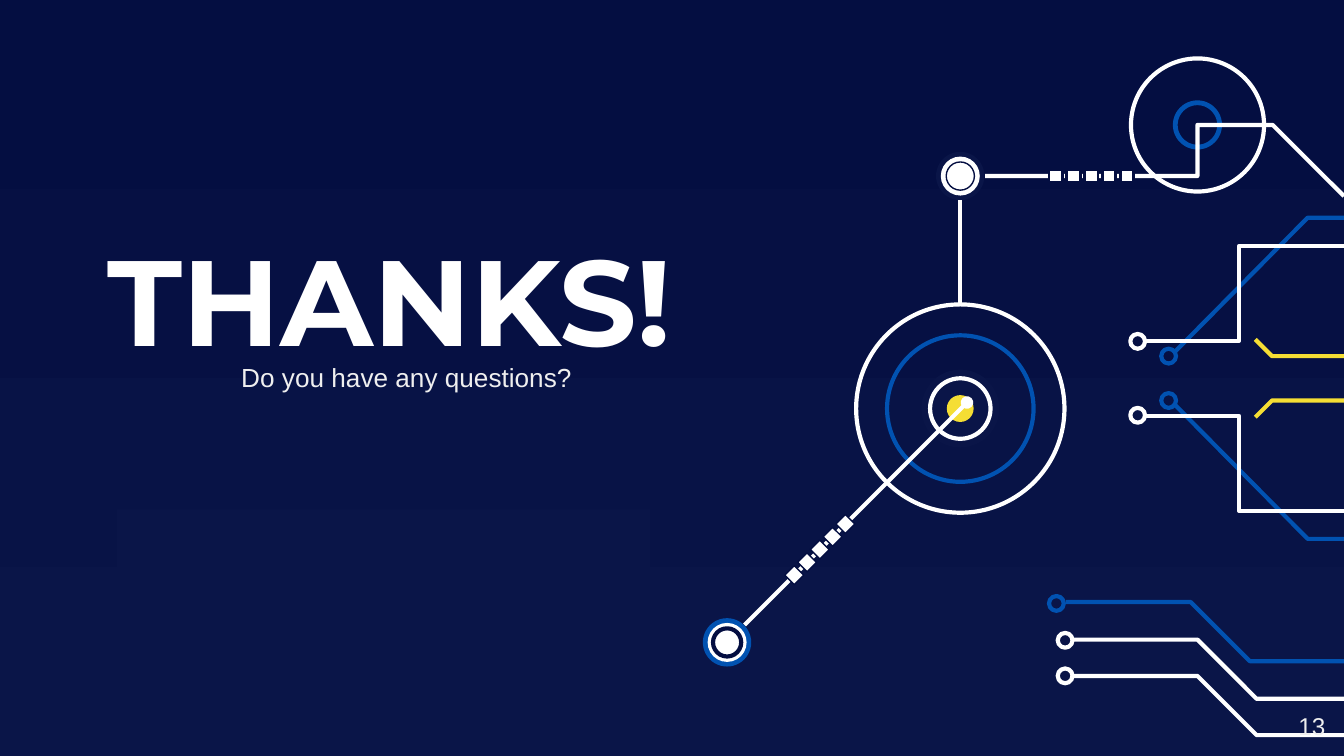
from lxml import etree
from pptx import Presentation
from pptx.dml.color import RGBColor
from pptx.enum import shapes, text
from pptx.oxml.ns import qn
from pptx.util import Inches, Pt

THEME = dict(
    night="040E41", navy="0A1548", blue="0152B1", white="FFFFFF",
    yellow="F5DE34", pale="EFEFEF",
    heading="Montserrat", body="Arial",
    title=65, subtitle=14, number=13, stroke=2.25, thin=0.75,
)


def write(s, content, size, color, font=THEME["body"], bold=False,
          align=text.PP_ALIGN.LEFT, anchor=text.MSO_ANCHOR.MIDDLE):
    tf = s.text_frame
    tf.word_wrap = True
    tf.auto_size = text.MSO_AUTO_SIZE.NONE
    tf.vertical_anchor = anchor
    tf.margin_left = tf.margin_right = tf.margin_top = tf.margin_bottom = Inches(0.1)
    p = tf.paragraphs[0]
    p.alignment = align
    p.space_before = Pt(0)
    r = p.add_run()
    r.text = content
    r.font.name, r.font.size, r.font.bold = font, Pt(THEME[size]), bold
    r.font.color.rgb = RGBColor.from_string(THEME[color])


def paint(s, fill=None, line=None, width=THEME["stroke"]):
    s.shadow.inherit = False
    if fill:
        s.fill.solid()
        s.fill.fore_color.rgb = RGBColor.from_string(THEME[fill])
    else:
        s.fill.background()
    if line:
        s.line.color.rgb = RGBColor.from_string(THEME[line])
        s.line.width = Pt(width)
    else:
        s.line.fill.background()


prs = Presentation()
prs.slide_width = Inches(10)
prs.slide_height = prs.slide_width * 9 // 16
col = prs.slide_width / 1000  # square grid, 1000 columns wide
slide = prs.slides.add_slide(prs.slide_layouts[0])
sp = slide.shapes

# Background
bg = slide.background.fill
bg.gradient()
bg.gradient_angle = 270
for stop, name in zip(bg.gradient_stops, ("night", "navy")):
    stop.color.rgb = RGBColor.from_string(THEME[name])

# Circuit traces: colour and corner points
traces = [("white", [(733, 131), (891, 131), (891, 93), (947, 93), (1000, 146)])]
# Circles: centre x, centre y, diameter, then fill, line and line width
circles = [(891, 131, 4, "night")]

# Three parallel traces at the bottom
for dx, dy, color in ((0, 0, "blue"), (5, 28, "white"), (5, 55, "white")):
    corners = [(793, 448), (886, 448), (930, 492)]
    traces.append((color, [(x + dx, y + dy) for x, y in corners] + [(1000, 492 + dy)]))
    circles.append((786 + dx * 1.3, 449 + dy * 0.98, 11, None, color))

# Traces at the right, mirrored about a horizontal axis
axis = 281.5
for side in (-1, 1):
    for color, corners in (
        ("blue", [(874, 19.5), (973, 119.5), (1000, 119.5)]),
        ("white", [(853, 28), (922, 28), (922, 98.5), (1000, 98.5)]),
        ("yellow", [(934, 29), (946.5, 16.5), (1000, 16.5)]),
    ):
        traces.append((color, [(x, axis + side * y) for x, y in corners]))
    for x, offset, color in ((846.5, 27.5, "white"), (869.5, 16.5, "blue")):
        circles.append((x, axis + side * offset, 11, None, color))

# Rings around the hubs
hub = 714.5
circles += [
    (891, 93, 99, None, "white"),
    (891, 93, 33, None, "blue", 2.57),
    (hub, 131, 36, "navy"),
    (hub, 131, 29, "white"),
    (hub, 131, 21, "white", "night", THEME["thin"]),
    (hub, 304, 58, "navy"),
    (hub, 304, 155, None, "white"),
    (hub, 304, 109, None, "blue"),
    (hub, 304, 45, None, "white"),
    (hub, 304, 20, "yellow"),
    (541, 478, 36, "blue"),
    (541, 478, 29, "white"),
    (541, 478, 21, None, "night"),
]

for x, y, d, *look in circles:
    s = sp.add_shape(shapes.MSO_SHAPE.OVAL, *(int(n * col) for n in (x - d / 2, y - d / 2, d, d)))
    paint(s, *look)

for color, corners in traces:
    (x, y), *rest = [(x * col, y * col) for x, y in corners]
    builder = sp.build_freeform(x, y, scale=1.0)
    builder.add_line_segments(rest, close=False)
    paint(builder.convert_to_shape(), line=color)

# Links between the hubs; the diagonal one ends in a dot
for ends, dot in (((hub, 149, hub, 227), False), ((554, 465, 719.5, 299.5), True)):
    s = sp.add_connector(shapes.MSO_CONNECTOR.STRAIGHT, *(int(n * col) for n in ends))
    s.line.color.rgb = RGBColor.from_string(THEME["white"])
    s.line.width = Pt(THEME["stroke"])
    props = s._element.spPr
    if dot:
        etree.SubElement(props.find(qn("a:ln")), qn("a:tailEnd"), type="oval")
    etree.SubElement(props, qn("a:effectLst"))

# Rows of five squares on the links
for x, y, dx, dy, angle, width in ((785.5, 131, 13.25, 0, 0, 1.5),
                                   (591, 428, 9.5, -9.5, 45, THEME["thin"])):
    for i in range(5):
        left, top = x + i * dx - 5, y + i * dy - 5
        s = sp.add_shape(shapes.MSO_SHAPE.RECTANGLE, *(int(n * col) for n in (left, top, 10, 10)))
        s.rotation = angle
        paint(s, "white", "night", width)

# Title, subtitle and page number
title, subtitle = slide.placeholders
number = sp.add_textbox(0, 0, 0, 0)
for s, box in ((title, (70, 154, 445, 136)), (subtitle, (169.5, 235, 392, 91)),
               (number, (936, 519.5, 60, 43))):
    s.left, s.top, s.width, s.height = (int(n * col) for n in box)
write(title, "THANKS!", "title", "white", font=THEME["heading"], bold=True)
write(subtitle, "Do you have any questions?", "subtitle", "pale")
write(number, "13", "number", "pale", align=text.PP_ALIGN.RIGHT, anchor=text.MSO_ANCHOR.TOP)

# Plain panel under the text
panel = sp.add_shape(shapes.MSO_SHAPE.RECTANGLE, *(int(n * col) for n in (87, 379, 397, 86)))
paint(panel, "navy")

prs.save("out.pptx")
